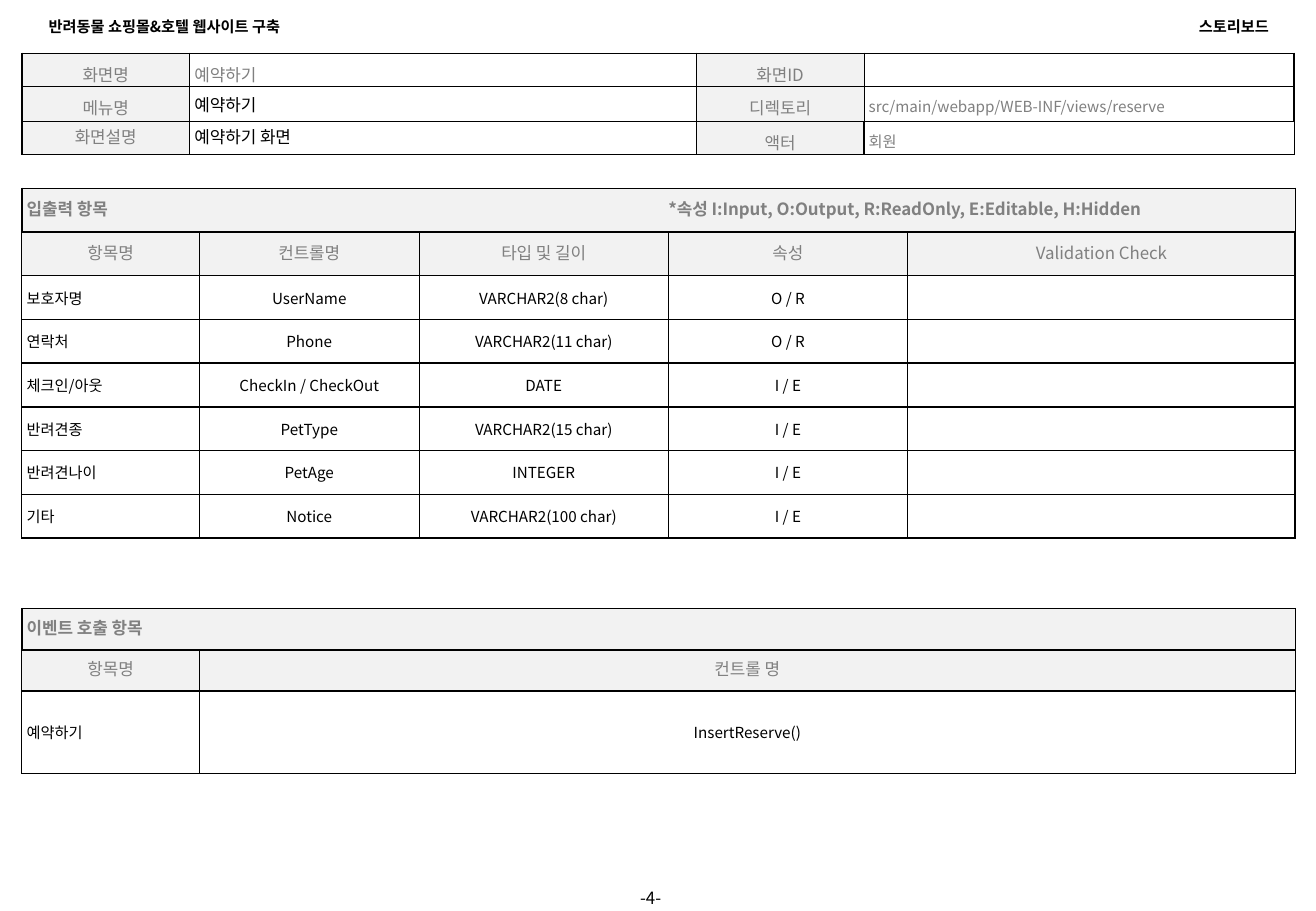
from typing import NamedTuple

from lxml.etree import SubElement
from pptx import Presentation
from pptx.dml.color import RGBColor
from pptx.enum.text import MSO_ANCHOR as Anchor, PP_ALIGN as Align
from pptx.oxml.ns import qn
from pptx.util import Inches, Pt

FONT = "Noto Sans CJK KR"
BLACK, GRAY, LIGHT = "000000", "808080", "F2F2F2"
LEFT = 0.18


class Style(NamedTuple):
    """Look of one kind of text."""

    size: float = 9
    color: str = BLACK
    bold: bool = False
    align: Align = Align.LEFT
    line: object = None
    gap: float = 0
    fill: str = ""


SECTION = Style(10, GRAY, True, line=Pt(12), fill=LIGHT)
HEADING = Style(10, GRAY, align=Align.CENTER, line=Pt(12), fill=LIGHT)
ITEM = Style()
VALUE = Style(align=Align.CENTER)
LABEL = Style(10, GRAY, align=Align.CENTER, line=1.15, gap=3, fill=LIGHT)
SCREEN = Style(10, GRAY, line=1.15, gap=3)
MENU = Style(10)
SUMMARY = Style(10, line=Pt(12))
DETAIL = Style(9, GRAY, line=1.15, gap=3)

OVERVIEW = [
    [("화면명", LABEL), ("예약하기", SCREEN), ("화면ID", LABEL), ("", DETAIL)],
    [("메뉴명", LABEL), ("예약하기", MENU), ("디렉토리", LABEL),
     ("src/main/webapp/WEB-INF/views/reserve", DETAIL)],
    [("화면설명", HEADING), ("예약하기 화면", SUMMARY), ("액터", LABEL), ("회원", DETAIL)],
]
FIELD_TITLE = "입출력 항목\t*속성 I:Input, O:Output, R:ReadOnly, E:Editable, H:Hidden"
FIELD_HEADINGS = ["항목명", "컨트롤명", "타입 및 길이", "속성", "Validation Check"]
FIELDS = [
    ["보호자명", "UserName", "VARCHAR2(8 char)", "O / R", ""],
    ["연락처", "Phone", "VARCHAR2(11 char)", "O / R", ""],
    ["체크인/아웃", "CheckIn / CheckOut", "DATE", "I / E", ""],
    ["반려견종", "PetType", "VARCHAR2(15 char)", "I / E", ""],
    ["반려견나이", "PetAge", "INTEGER", "I / E", ""],
    ["기타", "Notice", "VARCHAR2(100 char)", "I / E", ""],
]
EVENT_HEADINGS = ["항목명", "컨트롤 명"]
EVENTS = [["예약하기", "InsertReserve()"]]


def rgb(value):
    """Turn a hex string into a colour."""
    return RGBColor.from_string(value)


def write(frame, text, style):
    """Write one styled paragraph into a text frame."""
    frame.text = text
    paragraph = frame.paragraphs[0]
    paragraph.alignment = style.align
    paragraph.line_spacing = style.line
    paragraph.space_before = paragraph.space_after = Pt(style.gap)
    font = paragraph.font
    font.size, font.bold, font.name = Pt(style.size), style.bold, FONT
    font.color.rgb = rgb(style.color)
    defaults = paragraph._p.pPr.find(qn("a:defRPr"))
    SubElement(defaults, qn("a:ea"), typeface=FONT)
    return paragraph


def place_text(shape, box, text, style, inset=(0.1, 0.05)):
    """Position a text shape and fill it with one line."""
    shape.left, shape.top, shape.width, shape.height = map(Inches, box)
    frame = shape.text_frame
    frame.word_wrap = True
    frame.vertical_anchor = Anchor.MIDDLE
    frame.margin_left = frame.margin_right = Inches(inset[0])
    frame.margin_top = frame.margin_bottom = Inches(inset[1])
    write(frame, text, style)


def add_text(slide, box, text, style, **options):
    """Add a text box."""
    place_text(slide.shapes.add_textbox(0, 0, 0, 0), box, text, style, **options)


def add_borders(cell, left, right):
    """Draw the four borders of a cell, top and bottom at one point."""
    properties = cell._tc.get_or_add_tcPr()
    for side, width in (("L", left), ("R", right), ("T", 1), ("B", 1)):
        line = SubElement(properties, qn(f"a:ln{side}"), w=str(Pt(width)))
        fill = SubElement(line, qn("a:solidFill"))
        SubElement(fill, qn("a:srgbClr"), val=BLACK)


def fill_cell(cell, text, style, left, right):
    """Format one table cell."""
    cell.margin_left = cell.margin_right = Inches(0.04)
    cell.margin_top = cell.margin_bottom = Inches(0.04)
    cell.vertical_anchor = Anchor.MIDDLE
    add_borders(cell, left, right)
    if style.fill:
        cell.fill.solid()
        cell.fill.fore_color.rgb = rgb(style.fill)
    else:
        cell.fill.background()
    write(cell.text_frame, text, style)


def add_grid(slide, top, widths, heights, rows, borders):
    """Add a table of (text, style) cells with side borders given by a rule."""
    table = slide.shapes.add_table(
        len(rows), len(widths), Inches(LEFT), Inches(top),
        Inches(sum(widths)), Inches(sum(heights))).table
    table.first_row = table.horz_banding = False
    for column, width in zip(table.columns, widths):
        column.width = Inches(width)
    for row, height in zip(table.rows, heights):
        row.height = Inches(height)
    for r, row in enumerate(rows):
        for c, (text, style) in enumerate(row):
            fill_cell(table.cell(r, c), text, style, *borders(r, c))
    return table


def add_item_table(slide, top, widths, heights, title, headings, items):
    """Add a table with a full-width title, a heading row and item rows."""
    last = len(widths) - 1

    def borders(r, c):
        """Give left and right border widths."""
        return (1 if r == 0 and c == 0 else 0.5), (1 if c == last else 0.5)

    rows = [[(title, SECTION)] + [("", SECTION)] * last,
            [(heading, HEADING) for heading in headings]]
    rows += [[(name, ITEM)] + [(value, VALUE) for value in values]
             for name, *values in items]
    table = add_grid(slide, top, widths, heights, rows, borders)
    table.cell(0, 0).merge(table.cell(0, last))
    return table


def overview_borders(r, c):
    """Give left and right border widths of the overview table."""
    upper = r < 2
    left = 0.5 if upper and c == 3 else 1
    right = 0.5 if (upper and c == 2) or (not upper and c == 3) else 1
    return left, right


def add_tab_stop(cell, position):
    """Add a left tab stop to the first paragraph of a cell."""
    properties = cell.text_frame.paragraphs[0]._p.get_or_add_pPr()
    stops = properties.makeelement(qn("a:tabLst"), {})
    SubElement(stops, qn("a:tab"), pos=str(Inches(position)), algn="l")
    properties.find(qn("a:defRPr")).addprevious(stops)


def main():
    """Build the storyboard slide."""
    deck = Presentation()
    deck.slide_width, deck.slide_height = Inches(10.83), Inches(7.5)
    slide = deck.slides.add_slide(deck.slide_layouts[5])

    place_text(slide.shapes.title, (0.3, 0.09, 2.99, 0.25),
               "반려동물 쇼핑몰&호텔 웹사이트 구축", Style(bold=True))
    add_text(slide, (7.55, 0.09, 2.99, 0.25), "스토리보드",
             Style(bold=True, align=Align.RIGHT))
    add_text(slide, (4.96, 7.31, 0.79, 0.16), "-4-",
             Style(10, align=Align.CENTER), inset=(0.04, 0.04))

    add_grid(slide, 0.44, [1.38, 4.17, 1.38, 3.54], [0.27, 0.29, 0.27],
             OVERVIEW, overview_borders)
    fields = add_item_table(slide, 1.55, [1.46, 1.81, 2.05, 1.97, 3.19], [0.36] * 8,
                            FIELD_TITLE, FIELD_HEADINGS, FIELDS)
    add_tab_stop(fields.cell(0, 0), 5.28)
    add_item_table(slide, 5.01, [1.46, 9.02], [0.34, 0.34, 0.68],
                   "이벤트 호출 항목", EVENT_HEADINGS, EVENTS)
    deck.save("out.pptx")


if __name__ == "__main__":
    main()
